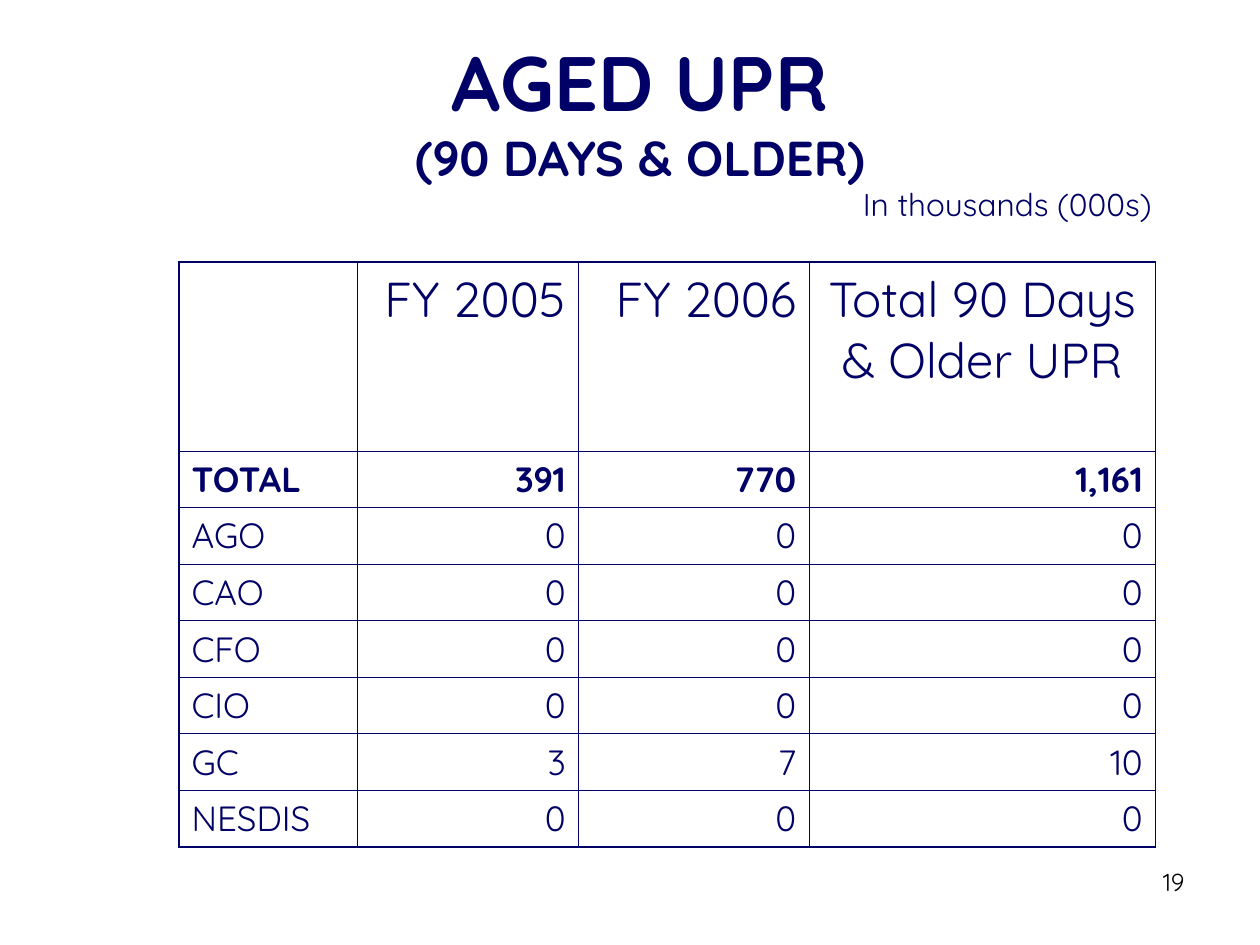
from typing import NamedTuple

from lxml import etree
from pptx import Presentation
from pptx.dml.color import RGBColor
from pptx.enum.text import MSO_ANCHOR, MSO_AUTO_SIZE, PP_ALIGN
from pptx.oxml.ns import qn
from pptx.util import Inches, Pt

LEFT, CENTER, RIGHT = PP_ALIGN.LEFT, PP_ALIGN.CENTER, PP_ALIGN.RIGHT
MIDDLE, NO_FIT = MSO_ANCHOR.MIDDLE, MSO_AUTO_SIZE.NONE
FONT = "Quicksand"
COLORS = {"navy": "000066", "black": "000000"}
THIN, THICK = 0.45, 1.08


class Box(NamedTuple):
    left: float
    top: float
    width: float
    height: float


class Office(NamedTuple):
    name: str
    fy2005: str
    fy2006: str
    total: str


HEADERS = ("", "FY 2005", "FY 2006", "Total 90 Days & Older UPR")
OFFICES = (
    Office("TOTAL", "391", "770", "1,161"),
    Office("AGO", "0", "0", "0"),
    Office("CAO", "0", "0", "0"),
    Office("CFO", "0", "0", "0"),
    Office("CIO", "0", "0", "0"),
    Office("GC", "3", "7", "10"),
    Office("NESDIS", "0", "0", "0"),
)
COLUMN_WIDTHS = (1.42, 1.75, 1.83, 2.75)
HEADER_HEIGHT, ROW_HEIGHT = 1.5, 0.44


def add_text(p, text: str, *, size: float, color: str = "navy",
             bold: bool = False, align=LEFT) -> None:
    p.alignment = align
    r = p.add_run()
    r.text = text
    r.font.name = FONT
    r.font.size = Pt(size)
    r.font.bold = bold
    r.font.color.rgb = RGBColor.from_string(COLORS[color])


def add_label(slide, box: Box, text: str, **fmt) -> None:
    tf = slide.shapes.add_textbox(*map(Inches, box)).text_frame
    tf.word_wrap = True
    add_text(tf.paragraphs[0], text, **fmt)


def set_borders(cell, widths: dict[str, float]) -> None:
    tc_pr = cell._tc.get_or_add_tcPr()
    for index, (side, width) in enumerate(widths.items()):
        ln = etree.Element(qn(f"a:ln{side}"), w=str(Pt(width)))
        fill = etree.SubElement(ln, qn("a:solidFill"))
        etree.SubElement(fill, qn("a:srgbClr"), val=COLORS["navy"])
        tc_pr.insert(index, ln)


def add_upr_table(slide, box: Box) -> None:
    rows = (HEADERS, *OFFICES)
    last_row, last_col = len(rows) - 1, len(HEADERS) - 1
    table = slide.shapes.add_table(
        len(rows), len(HEADERS), *map(Inches, box)).table
    table.first_row = table.horz_banding = False
    for column, width in zip(table.columns, COLUMN_WIDTHS):
        column.width = Inches(width)
    for i, values in enumerate(rows):
        table.rows[i].height = Inches(ROW_HEIGHT if i else HEADER_HEIGHT)
        for j, value in enumerate(values):
            cell = table.cell(i, j)
            cell.fill.background()
            set_borders(cell, {
                "L": THICK if j == 0 else THIN,
                "R": THICK if j == last_col else THIN,
                "T": THICK if i == 0 else THIN,
                "B": THICK if i == last_row else THIN,
            })
            if not value:
                continue
            if j == 0:
                align = LEFT
            elif i == 0 and j == last_col:
                align = CENTER
            else:
                align = RIGHT
            add_text(cell.text_frame.paragraphs[0], value,
                     size=20 if i else 28, bold=i == 1, align=align)


def main() -> None:
    prs = Presentation()
    prs.slide_width, prs.slide_height = Inches(10), Inches(7.5)
    slide = prs.slides.add_slide(prs.slide_layouts[5])

    # Title
    title = slide.shapes.title
    title.left, title.top, title.width, title.height = map(
        Inches, Box(0.58, 0.25, 9, 1.25))
    tf = title.text_frame
    tf.word_wrap = True
    tf.auto_size = NO_FIT
    tf.vertical_anchor = MIDDLE
    p = tf.paragraphs[0]
    add_text(p, "AGED UPR", size=44, bold=True, align=CENTER)
    p.add_line_break()
    add_text(p, "(90 DAYS & OLDER)", size=28, bold=True, align=CENTER)

    # Table
    height = HEADER_HEIGHT + ROW_HEIGHT * len(OFFICES)
    add_upr_table(slide, Box(1.42, 2.08, sum(COLUMN_WIDTHS), height))

    # Unit note and page number
    add_label(slide, Box(6.75, 1.42, 2.83, 0.7), "In thousands (000s)", size=18)
    add_label(slide, Box(7.17, 6.83, 2.33, 0.52), "19",
              size=14, color="black", align=RIGHT)

    prs.save("out.pptx")


if __name__ == "__main__":
    main()
